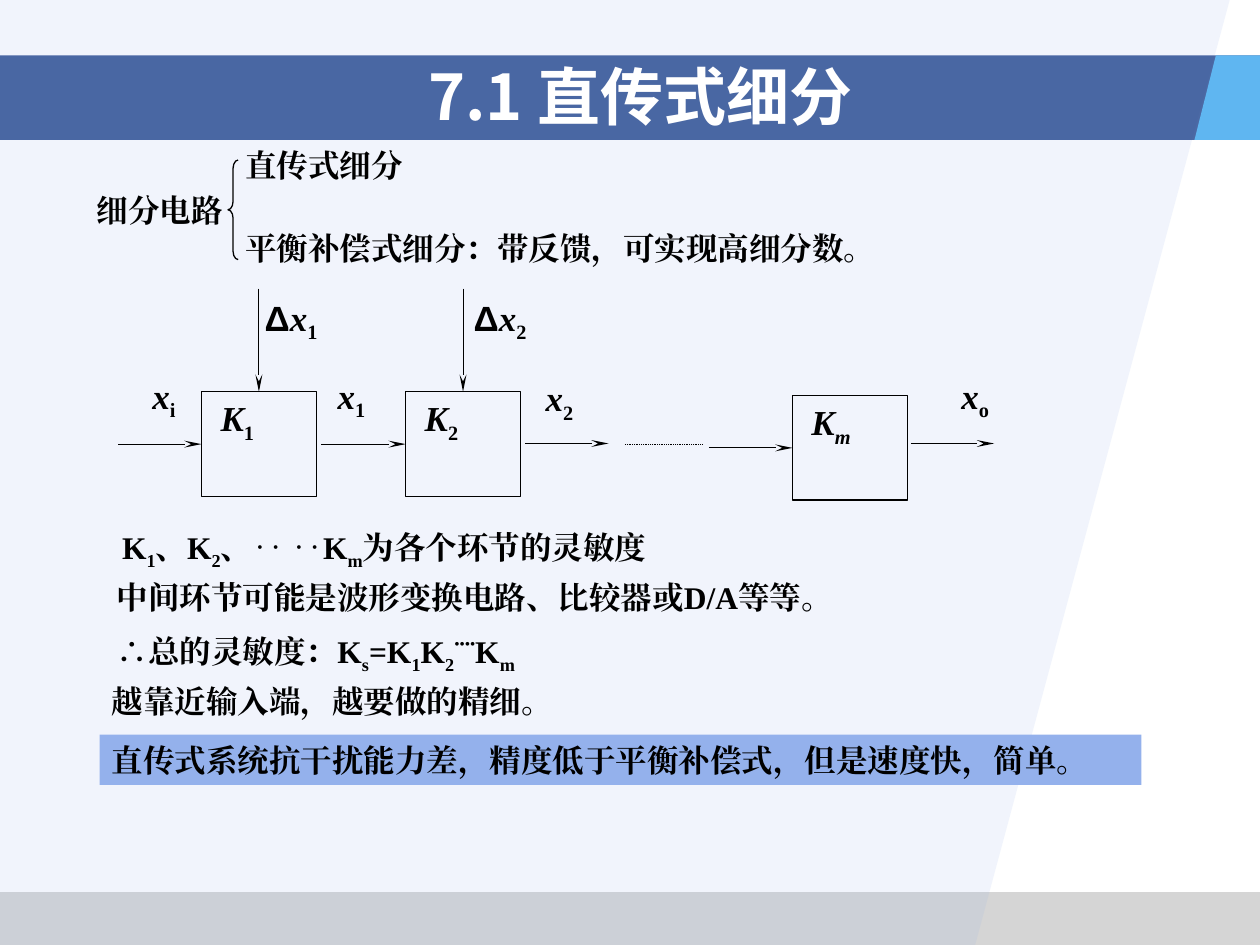
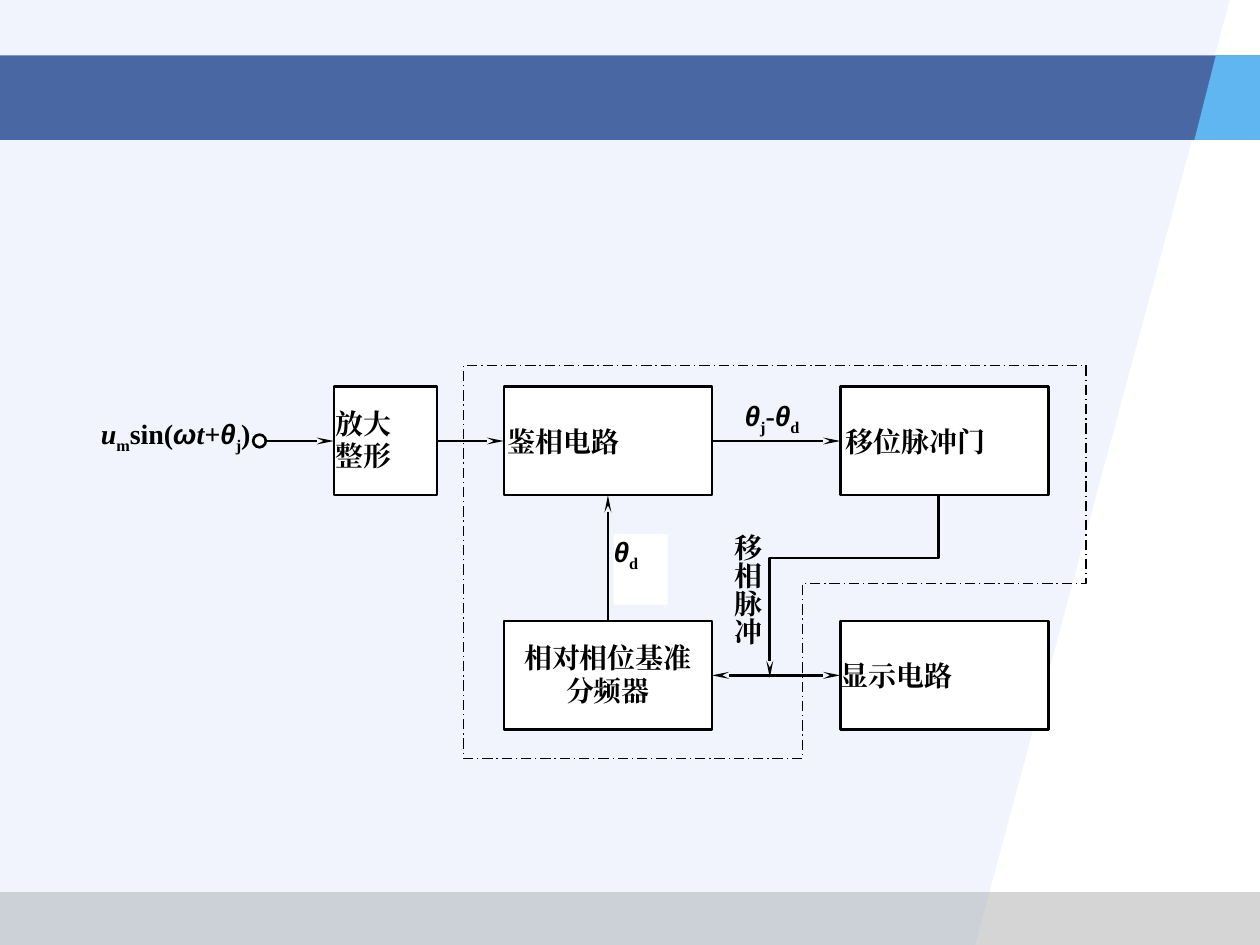
import pptx
import pptx.util
import pptx.dml.color
import pptx.enum.dml
import pptx.enum.shapes
import pptx.enum.text
import pptx.oxml
import pptx.oxml.ns
from dataclasses import dataclass

SHAPE = pptx.enum.shapes.MSO_SHAPE
ALIGN = pptx.enum.text.PP_ALIGN
ANCHOR = pptx.enum.text.MSO_ANCHOR
DASH = pptx.enum.dml.MSO_LINE
TOP, LEFT, BOTTOM, RIGHT = range(4)


@dataclass(frozen=True)
class Theme:
    ink: str = "000000"
    paper: str = "FFFFFF"
    navy: str = "173D89"
    sky: str = "5FB6F1"
    pale: str = "94B1EC"
    grey: str = "969696"
    serif: str = "Times New Roman"
    sans: str = "Arial"
    heading: str = "Noto Sans CJK SC"
    title_size: float = 36
    symbol_size: float = 20
    body_size: float = 18
    block_size: float = 16
    hairline: float = 0.5
    thin: float = 0.75
    thick: float = 1.5


THEME = Theme()
SLIDE_W, SLIDE_H = 10, 7.5
BAND_TOP, BAND_H = 0.44, 0.67

# ---- Content: a run is (text, style); i italic, s subscript, a sans ----
TITLE = "7.1 直传式细分"
BRACE_TEXTS = [  # left, top, width, text
    (0.67, 1.47, 1.5, "细分电路"),
    (1.85, 1.11, 2.4, "直传式细分"),
    (1.85, 1.77, 6.77, "平衡补偿式细分：带反馈，可实现高细分数。"),
]
STAGES = [  # left, top, subscript, style of the subscript
    (1.6, 3.11, "1", "s"),
    (3.22, 3.11, "2", "s"),
    (6.29, 3.14, "m", "is"),
]
STAGE_W, STAGE_H = 0.91, 0.83
SIGNALS = [  # left, top, subscript
    (1.2, 2.96, "i"), (2.67, 2.96, "1"), (4.32, 2.98, "2"), (7.62, 2.96, "o"),
]
CONCLUSIONS = [  # left, top, runs
    (0.87, 4.14, [("K", ""), ("1", "s"), ("、K", ""), ("2", "s"),
                  ("、‥ ‥K", ""), ("m", "s"), ("为各个环节的灵敏度", "")]),
    (0.83, 4.54, [("中间环节可能是波形变换电路、比较器或D/A等等。", "")]),
    (0.83, 4.97, [("∴总的灵敏度：K", ""), ("s", "s"), ("=K", ""), ("1", "s"),
                  ("K", ""), ("2", "s"), ("¨¨K", ""), ("m", "s")]),
    (0.79, 5.36, [("越靠近输入端，越要做的精细。", "")]),
]
SUMMARY = "直传式系统抗干扰能力差，精度低于平衡补偿式，但是速度快，简单。"

COLUMNS = {"input": 2.65, "middle": 4, "right": 6.67}
ROWS = {"upper": 3.07, "lower": 4.93}
BLOCK_H = 0.86
BLOCKS = {  # column, row, width, left inset, centred, line spacing, lines
    "amplifier": ("input", "upper", 0.82, 0.01, False, 0.96, ["放大", "整形"]),
    "detector": ("middle", "upper", 1.65, 0.03, False, 1, ["鉴相电路"]),
    "gate": ("right", "upper", 1.65, 0.04, False, 1, ["移位脉冲门"]),
    "reference": ("middle", "lower", 1.65, 0, True, 0.96, ["相对相位基准", "分频器"]),
    "display": ("right", "lower", 1.65, 0, False, 1, ["显示电路"]),
}
LINKS = [  # from block, side, to block, side, arrow at both ends
    ("amplifier", RIGHT, "detector", LEFT, False),
    ("detector", RIGHT, "gate", LEFT, False),
    ("reference", TOP, "detector", BOTTOM, False),
    ("reference", RIGHT, "display", LEFT, True),
]
INPUT_SIGNAL = [("u", "i"), ("m", "s"), ("sin(", ""), ("ω", "ia"), ("t+", "i"),
                ("θ", "ia"), ("j", "s"), (")", "")]
PHASE_ERROR = [("θ", "ia"), ("j", "s"), ("-", ""), ("θ", "ia"), ("d", "s")]
PHASE_REFERENCE = [("θ", "ia"), ("d", "s")]
SHIFT_PULSE = "移相脉冲"
SHIFT_PATH = [(7.45, 3.93), (7.45, 4.43), (6.11, 4.43), (6.11, 5.38)]
FRAME = [(8.62, 2.9), (8.62, 4.63), (6.37, 4.63), (6.37, 6.02), (3.68, 6.02), (3.68, 2.9)]


# ---- Helpers ----
def inches(*lengths):
    return [pptx.util.Inches(length) for length in lengths]


def rgb(color):
    return pptx.dml.color.RGBColor.from_string(color)


def paint(shape, fill=None, alpha=None, weight=None):
    shape.shadow.inherit = False
    if fill:
        shape.fill.solid()
        shape.fill.fore_color.rgb = rgb(fill)
        if alpha:
            color = shape.element.spPr.find(".//" + pptx.oxml.ns.qn("a:srgbClr"))
            add_xml(color, f'alpha val="{alpha * 1000}"')
    else:
        shape.fill.background()
    if weight:
        stroke(shape.line, weight)
    else:
        shape.line.fill.background()
    return shape


def add_xml(parent, tag):
    parent.append(pptx.oxml.parse_xml(f'<a:{tag} {pptx.oxml.ns.nsdecls("a")}/>'))


def stroke(line, weight, dash=None):
    line.color.rgb = rgb(THEME.ink)
    line.width = pptx.util.Pt(weight)
    if dash:
        line.dash_style = dash


def arrowheads(shape, both=False):
    outline = shape.line._get_or_add_ln()
    for end in ["headEnd", "tailEnd"] if both else ["tailEnd"]:
        add_xml(outline, f'{end} type="stealth" w="sm" len="lg"')


def preset(slide, kind, left, top, width, height, **look):
    return paint(slide.shapes.add_shape(kind, *inches(left, top, width, height)), **look)


def freeform(slide, points, close, **look):
    corners = [tuple(inches(*point)) for point in points]
    builder = slide.shapes.build_freeform(*corners[0], scale=1)
    builder.add_line_segments(corners[1:], close=close)
    return paint(builder.convert_to_shape(), **look)


def connect(slide, start, end, weight, begin=None, finish=None,
            arrow=True, both=False, dash=None):
    link = slide.shapes.add_connector(
        pptx.enum.shapes.MSO_CONNECTOR.STRAIGHT, *inches(*start, *end))
    if begin:
        link.begin_connect(*begin)
    if finish:
        link.end_connect(*finish)
    stroke(link.line, weight, dash)
    if arrow:
        arrowheads(link, both)
    add_xml(link.element.spPr, "effectLst")


def add_runs(paragraph, runs, size, font=THEME.serif, color=THEME.ink):
    for text, style in runs:
        run = paragraph.add_run()
        run.text = text
        run.font.size = pptx.util.Pt(size)
        run.font.bold = True
        run.font.italic = "i" in style
        run.font.color.rgb = rgb(color)
        face = THEME.sans if "a" in style else font
        run.font.name = face
        properties = run.font._element
        add_xml(properties, f'ea typeface="{face}"')
        if "s" in style:
            properties.set("baseline", "-25000")


def write(shape, lines, size, insets=(0.1, 0.05, 0.1, 0.05), align=ALIGN.LEFT,
          anchor=ANCHOR.TOP, spacing=None):
    frame = shape.text_frame
    frame.word_wrap = True
    frame.vertical_anchor = anchor
    (frame.margin_left, frame.margin_top,
     frame.margin_right, frame.margin_bottom) = inches(*insets)
    for number, runs in enumerate(lines):
        paragraph = frame.add_paragraph() if number else frame.paragraphs[0]
        paragraph.alignment = align
        if spacing:
            paragraph.line_spacing = spacing
        add_runs(paragraph, runs, size)
    return shape


def label(slide, left, top, width, height, runs, size, **layout):
    area = slide.shapes.add_textbox(*inches(left, top, width, height))
    return write(area, [runs], size, **layout)


# ---- Shared bands, moved to the master ----
def dress_master(deck, slide):
    band_bottom = BAND_TOP + BAND_H
    bands = [
        preset(slide, SHAPE.RECTANGLE, 0, 7.08, SLIDE_W, 0.42, fill=THEME.grey, alpha=40),
        freeform(slide, [(0, 0), (9.76, 0), (7.74, SLIDE_H), (0, SLIDE_H)], True,
                 fill=THEME.pale, alpha=13),
        preset(slide, SHAPE.RECTANGLE, 0, BAND_TOP, SLIDE_W, BAND_H,
               fill=THEME.navy, alpha=77),
        freeform(slide, [(9.65, BAND_TOP), (9.48, band_bottom), (SLIDE_W, band_bottom),
                         (SLIDE_W, BAND_TOP)], True, fill=THEME.sky),
    ]
    for position, band in enumerate(bands):
        band.element.xpath(".//p:cNvPr")[0].set("id", str(100 + position))
        deck.slide_master.shapes.element.insert(2 + position, band.element)


# ---- Slide 1: direct subdivision ----
def build_direct(slide):
    title = slide.shapes.title
    title.left, title.top, title.width, title.height = inches(0.58, 0.45, 9, 0.62)
    title.text_frame.vertical_anchor = ANCHOR.MIDDLE
    heading = title.text_frame.paragraphs[0]
    heading.alignment = ALIGN.CENTER
    add_runs(heading, [(TITLE, "")], THEME.title_size, THEME.heading, THEME.paper)

    # Brace with the two kinds of circuit
    for left, top, width, text in BRACE_TEXTS:
        label(slide, left, top, width, 0.4, [(text, "")], THEME.body_size)
    brace = preset(slide, SHAPE.LEFT_BRACE, 1.81, 1.27, 0.08, 0.79, weight=THEME.thin)
    brace.adjustments[0] = 0.83

    # Chain of stages
    stages = []
    for left, top, index, style in STAGES:
        stage = preset(slide, SHAPE.RECTANGLE, left, top, STAGE_W, STAGE_H, weight=THEME.thin)
        write(stage, [[("K", "i"), (index, style)]], THEME.symbol_size,
              insets=(0.15, 0.04, 0.01, 0.01))
        stages.append(stage)
    for stage, (left, top, _, _), start in zip(stages, STAGES, (0.94, 2.55, 5.63)):
        middle = top + STAGE_H / 2
        connect(slide, (start, middle), (left, middle), THEME.hairline, finish=(stage, LEFT))
    for start in (4.17, 7.23):
        connect(slide, (start, 3.52), (start + 0.66, 3.52), THEME.hairline)
    connect(slide, (4.96, 3.53), (5.57, 3.53), THEME.hairline, arrow=False,
            dash=DASH.ROUND_DOT)

    # Signals and disturbances
    tight = (0.01,) * 4
    for left, top, index in SIGNALS:
        label(slide, left, top, 0.58, 0.45, [("x", "i"), (index, "s")],
              THEME.symbol_size, insets=tight)
    for stage, (left, top, index, _), text_left in zip(stages, STAGES, (2.09, 3.75)):
        center = left + STAGE_W / 2
        connect(slide, (center, 2.29), (center, top), THEME.hairline, finish=(stage, TOP))
        label(slide, text_left, 2.34, 0.62, 0.47,
              [("Δ", "a"), ("x", "i"), (index, "s")], THEME.symbol_size, insets=tight)

    # Conclusions
    for left, top, runs in CONCLUSIONS:
        label(slide, left, top, 8.19, 0.42, runs, THEME.body_size)
    summary = preset(slide, SHAPE.RECTANGLE, 0.79, 5.83, 8.27, 0.4, fill=THEME.pale)
    write(summary, [[(SUMMARY, "")]], THEME.body_size)


# ---- Slide 2: phase-tracking block diagram ----
def build_phase_loop(slide):
    blocks = {}
    for name, (column, row, width, inset, centred, spacing, lines) in BLOCKS.items():
        block = preset(slide, SHAPE.RECTANGLE, COLUMNS[column], ROWS[row], width, BLOCK_H,
                       fill=THEME.paper, weight=THEME.thick)
        blocks[name] = write(block, [[(line, "")] for line in lines], THEME.block_size,
                             insets=(inset, 0, 0, 0), anchor=ANCHOR.MIDDLE, spacing=spacing,
                             align=ALIGN.CENTER if centred else ALIGN.LEFT)

    # Links and outlines
    for source, side, target, target_side, both in LINKS:
        connect(slide, (0, 0), (0, 0), THEME.thick, begin=(blocks[source], side),
                finish=(blocks[target], target_side), both=both)
    arrowheads(freeform(slide, SHIFT_PATH, False, weight=THEME.thick))
    axis = ROWS["upper"] + BLOCK_H / 2
    connect(slide, (2.11, axis), (COLUMNS["input"], axis), THEME.thick,
            finish=(blocks["amplifier"], LEFT))
    preset(slide, SHAPE.OVAL, 2.01, axis - 0.05, 0.1, 0.1,
           fill=THEME.paper, weight=THEME.thick)
    frame = freeform(slide, FRAME, True, weight=THEME.thin)
    frame.line.dash_style = DASH.LONG_DASH_DOT

    # Signal names
    flush = (0, 0, 0, 0.05)
    label(slide, 0.8, 3.31, 1.47, 0.56, INPUT_SIGNAL, THEME.block_size, insets=flush)
    label(slide, 5.91, 3.16, 0.91, 0.61, PHASE_ERROR, THEME.block_size, insets=flush)
    reference = preset(slide, SHAPE.RECTANGLE, 4.87, 4.24, 0.43, 0.56, fill=THEME.paper)
    write(reference, [PHASE_REFERENCE], THEME.block_size, insets=flush)
    pulse = label(slide, 5.55, 4.24, 0.52, 1.43, [(SHIFT_PULSE, "")], THEME.block_size,
                  insets=(0.05, 0, 0, 0), align=ALIGN.CENTER)
    pulse.element.xpath(".//a:bodyPr")[0].set("vert", "eaVert")


def main():
    deck = pptx.Presentation()
    deck.slide_width, deck.slide_height = inches(SLIDE_W, SLIDE_H)
    direct = deck.slides.add_slide(deck.slide_layouts.get_by_name("Title Only"))
    phase_loop = deck.slides.add_slide(deck.slide_layouts.get_by_name("Blank"))
    dress_master(deck, direct)
    build_direct(direct)
    build_phase_loop(phase_loop)
    deck.save("out.pptx")


if __name__ == "__main__":
    main()
